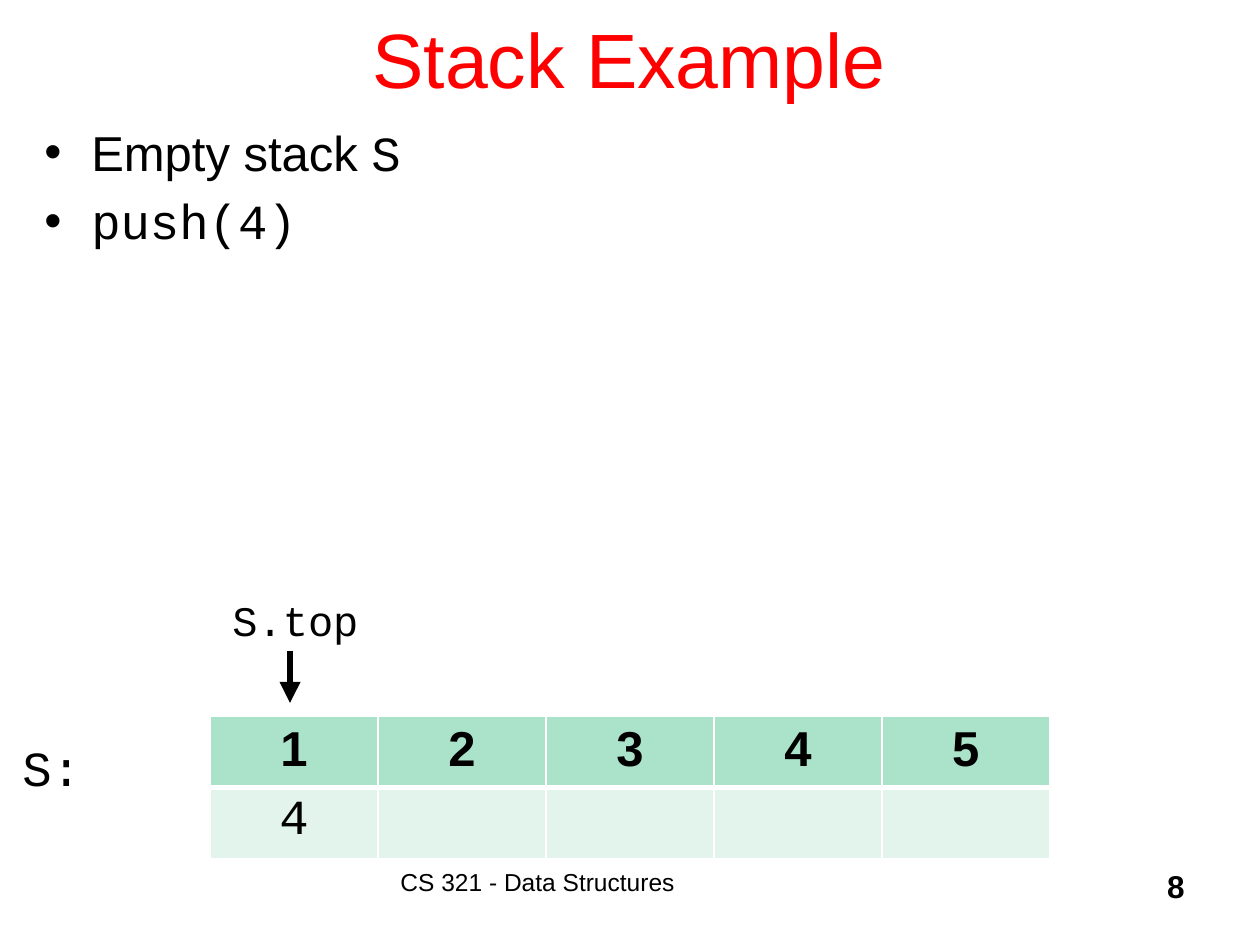
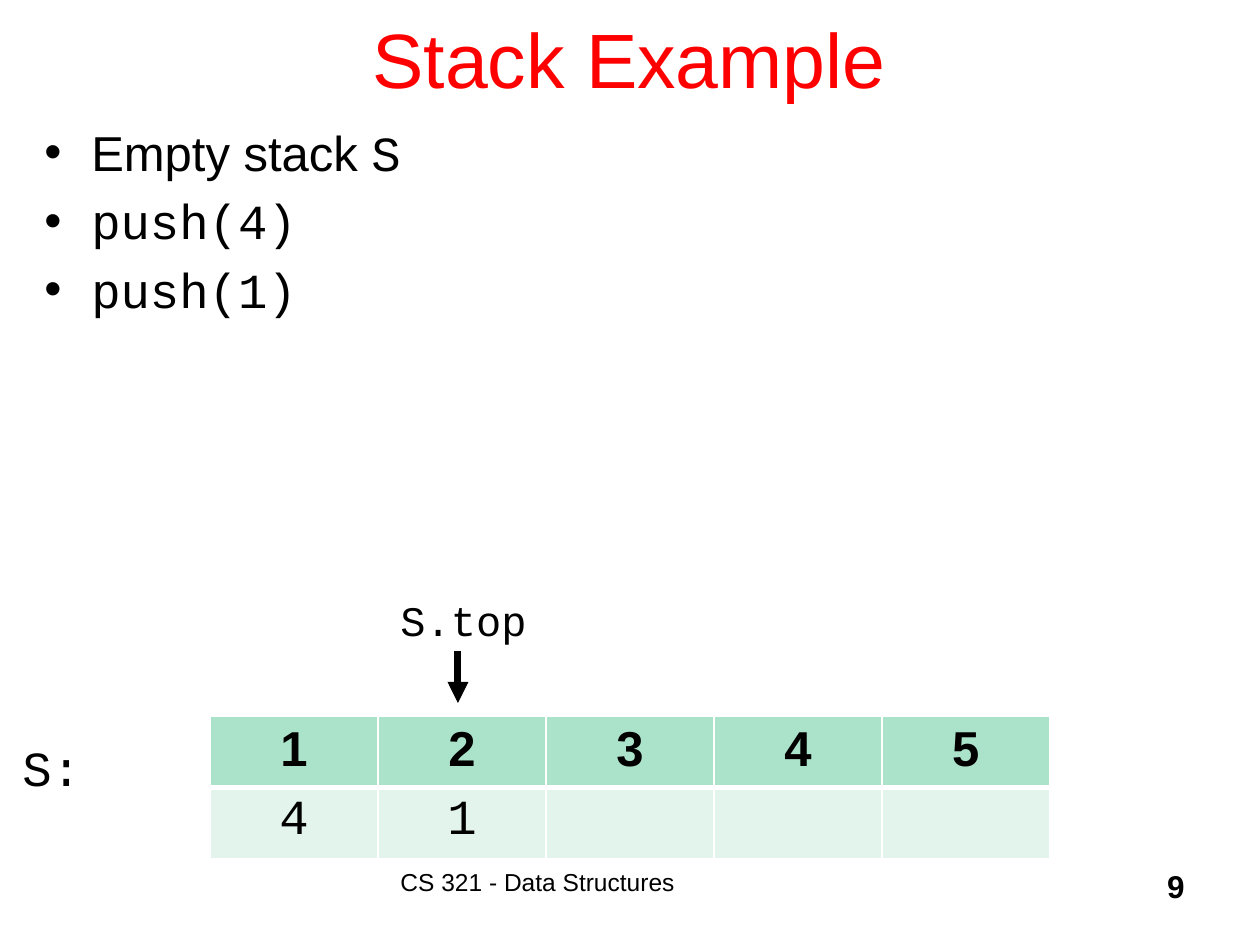
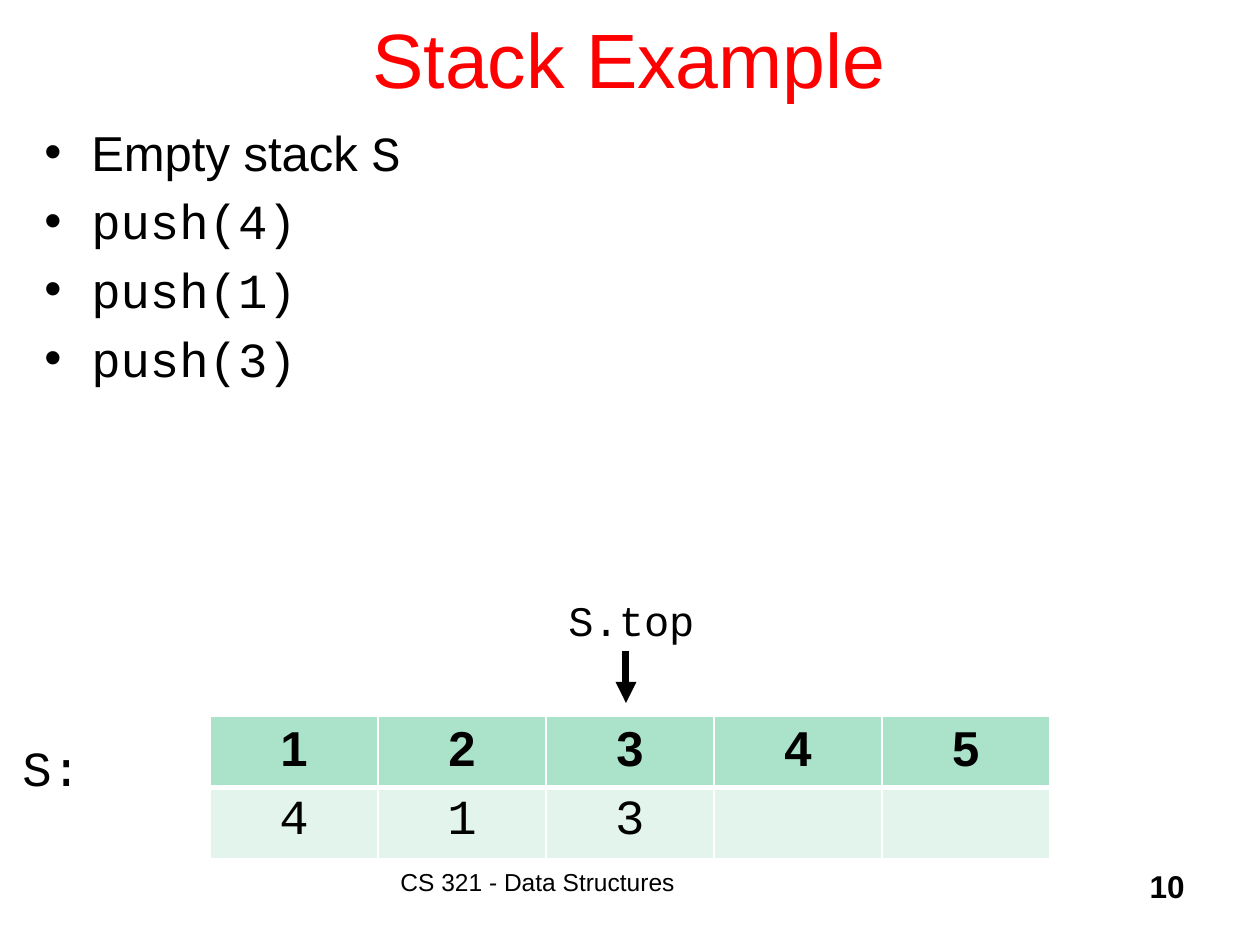
"""Build three slides that show values being pushed onto a stack."""
import pptx
import pptx.dml.color
import pptx.enum.shapes
import pptx.enum.text
import pptx.oxml
import pptx.oxml.ns
import pptx.util

TITLE = "Stack Example"
FOOTER = "CS 321 - Data Structures"
STACK_LABEL = "S:"
TOP_LABEL = "S.top"
PUSHED_VALUES = (4, 1, 3)
CAPACITY = 5
FIRST_PAGE = 8

BLACK, WHITE, RED = "000000", "FFFFFF", "FF0000"
HEADER_GREEN, CELL_GREEN = "AAE2CA", "E2F4EC"
SANS, MONO = "Arial", "Courier New"
LEFT = pptx.enum.text.PP_ALIGN.LEFT
CENTER = pptx.enum.text.PP_ALIGN.CENTER
RIGHT = pptx.enum.text.PP_ALIGN.RIGHT

TITLE_BOX = (94, -21, 1071, 158)
STEPS_BOX = (32, 116, 1197, 703)
FOOTER_BOX = (388, 861, 483, 63)
PAGE_BOX = (935, 861, 262, 63)
STACK_LABEL_BOX = (10, 731, 95, 72)
TABLE_LEFT, TABLE_TOP = 210, 716
CELL_WIDTH, CELL_HEIGHT = 168, 51
TOP_LABEL_OFFSET, TOP_LABEL_TOP = 10, 588
TOP_LABEL_WIDTH, TOP_LABEL_HEIGHT = 158, 63
ARROW_OFFSET, ARROW_TOP, ARROW_BOTTOM = 80, 651, 703
BULLET_INDENT = 47


def px(length):
    return round(length * 914400 / 126)


def color(value):
    return pptx.dml.color.RGBColor.from_string(value)


def xml(tag, attributes="", content=""):
    namespace = pptx.oxml.ns.nsdecls("a")
    return pptx.oxml.parse_xml(f"<a:{tag} {namespace} {attributes}>{content}</a:{tag}>")


def format_run(run, size, font=SANS, fill=BLACK, bold=False):
    run.font.size = pptx.util.Pt(size)
    run.font.name = font
    run.font.bold = bold
    run.font.color.rgb = color(fill)


def add_text_frame(slide, box):
    text_frame = slide.shapes.add_textbox(*map(px, box)).text_frame
    text_frame.word_wrap = True
    return text_frame


def write(text_frame, text, size, align=LEFT, **style):
    text_frame.text = text
    paragraph = text_frame.paragraphs[0]
    paragraph.alignment = align
    for run in paragraph.runs:
        format_run(run, size, **style)


def add_frame(slide, page):
    title = add_text_frame(slide, TITLE_BOX)
    title.vertical_anchor = pptx.enum.text.MSO_ANCHOR.MIDDLE
    write(title, TITLE, 44, CENTER, fill=RED)
    write(add_text_frame(slide, FOOTER_BOX), FOOTER, 14)
    write(add_text_frame(slide, PAGE_BOX), str(page), 18, RIGHT, bold=True)


def add_steps(slide, values):
    steps = [[("Empty stack ", SANS), ("S", MONO)]]
    steps += [[(f"push({value})", MONO)] for value in values]
    text_frame = add_text_frame(slide, STEPS_BOX)
    for index, step in enumerate(steps):
        paragraph = text_frame.add_paragraph() if index else text_frame.paragraphs[0]
        paragraph.space_before = pptx.util.Pt(5.6)
        properties = paragraph._p.get_or_add_pPr()
        properties.set("marL", str(px(BULLET_INDENT)))
        properties.set("indent", str(-px(BULLET_INDENT)))
        properties.append(xml("buFont", f'typeface="{SANS}"'))
        properties.append(xml("buChar", 'char="•"'))
        for text, font in step:
            run = paragraph.add_run()
            run.text = text
            format_run(run, 28, font)


def style_cell(cell, fill, border_widths):
    properties = cell._tc.get_or_add_tcPr()
    line_fill = f'<a:solidFill><a:srgbClr val="{WHITE}"/></a:solidFill>'
    for side, width in zip("LRTB", border_widths):
        properties.append(xml(f"ln{side}", f'w="{pptx.util.Pt(width)}"', line_fill))
    cell.fill.solid()
    cell.fill.fore_color.rgb = color(fill)


def add_stack(slide, values):
    box = (TABLE_LEFT, TABLE_TOP, CAPACITY * CELL_WIDTH, 2 * CELL_HEIGHT)
    table = slide.shapes.add_table(2, CAPACITY, *map(px, box)).table
    table.horz_banding = False
    for index in range(CAPACITY):
        header, slot = table.cell(0, index), table.cell(1, index)
        style_cell(header, HEADER_GREEN, (1, 1, 1, 3))
        style_cell(slot, CELL_GREEN, (1, 1, 3, 1))
        write(header.text_frame, str(index + 1), 28, CENTER, bold=True)
        if index < len(values):
            write(slot.text_frame, str(values[index]), 28, CENTER, font=MONO)
    write(add_text_frame(slide, STACK_LABEL_BOX), STACK_LABEL, 28, font=MONO)


def add_top_marker(slide, position):
    cell_left = TABLE_LEFT + position * CELL_WIDTH
    label_box = (cell_left + TOP_LABEL_OFFSET, TOP_LABEL_TOP,
                 TOP_LABEL_WIDTH, TOP_LABEL_HEIGHT)
    write(add_text_frame(slide, label_box), TOP_LABEL, 24, font=MONO)
    arrow_x = cell_left + ARROW_OFFSET
    arrow = slide.shapes.add_connector(
        pptx.enum.shapes.MSO_CONNECTOR.STRAIGHT,
        *map(px, (arrow_x, ARROW_TOP, arrow_x, ARROW_BOTTOM)))
    arrow.line.width = pptx.util.Pt(4)
    arrow.line.color.rgb = color(BLACK)
    arrow.line._get_or_add_ln().append(xml("tailEnd", 'type="triangle"'))
    arrow._element.spPr.append(xml("effectLst"))


def main():
    presentation = pptx.Presentation()
    presentation.slide_width = px(1260)
    presentation.slide_height = px(945)
    for index in range(len(PUSHED_VALUES)):
        slide = presentation.slides.add_slide(presentation.slide_layouts[6])
        values = PUSHED_VALUES[:index + 1]
        add_frame(slide, FIRST_PAGE + index)
        add_steps(slide, values)
        add_stack(slide, values)
        add_top_marker(slide, index)
    presentation.save("out.pptx")


if __name__ == "__main__":
    main()
